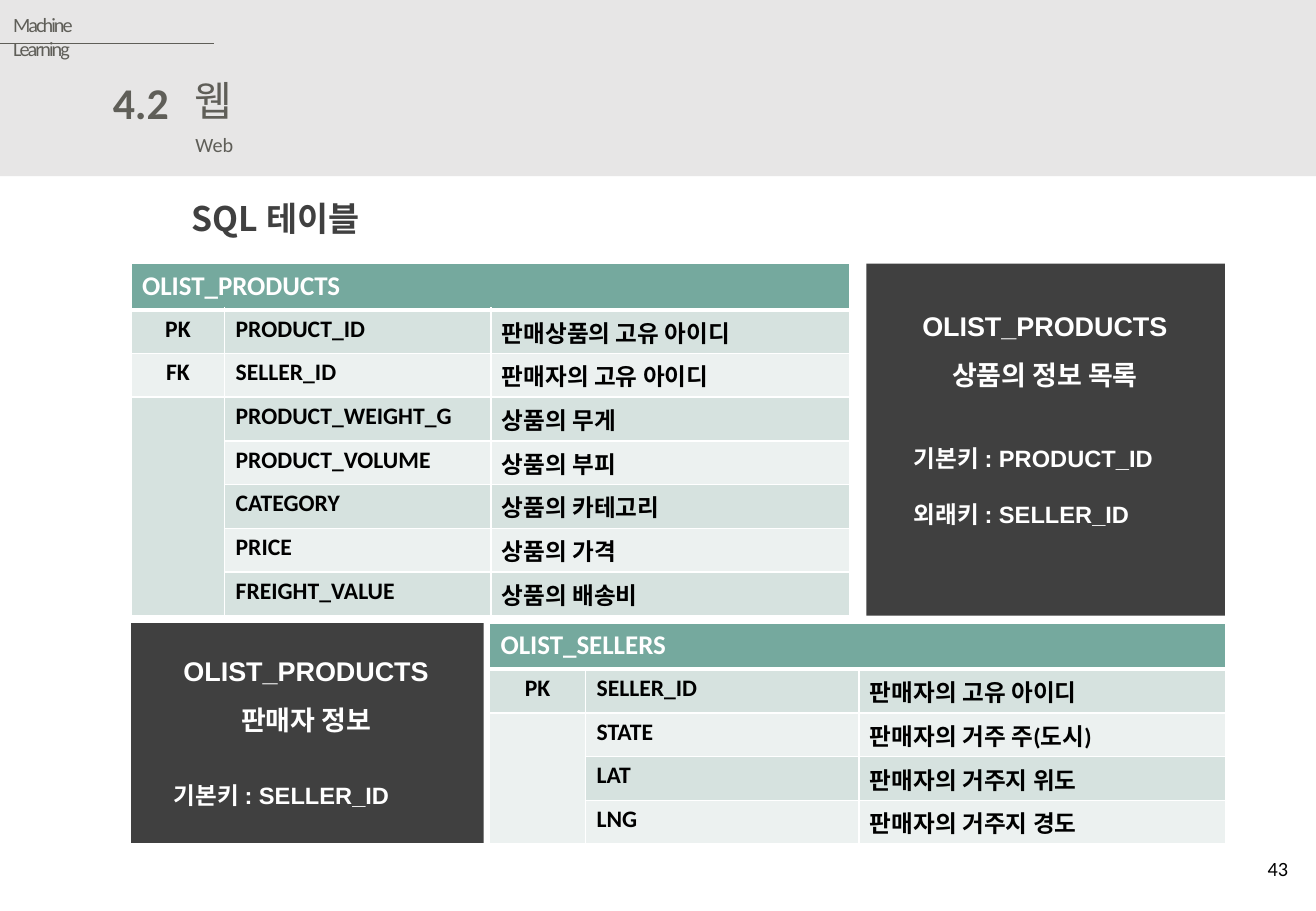
from lxml.etree import SubElement
from pptx import Presentation
from pptx.dml.color import RGBColor
from pptx.enum.shapes import MSO_CONNECTOR as Connector, MSO_SHAPE as Shape
from pptx.enum.text import MSO_ANCHOR as Anchor, MSO_AUTO_SIZE as AutoSize, PP_ALIGN as Align
from pptx.oxml.ns import qn
from pptx.util import Pt

PX = 9144  # 100 px to the inch
KOREAN_FONT = "Noto Sans CJK KR"
COLORS = {
    "band": "E7E6E6", "ink": "5F5E58", "dark": "404040", "white": "FFFFFF", "black": "000000",
    "header": "75A99E", "row_odd": "D6E2DF", "row_even": "ECF1F0",
}

# Run formats
LABEL = {"name": "Calibri", "size": 12, "color": "ink"}
TIGHT = LABEL | {"spacing": -120}
NUMBER = LABEL | {"size": 26, "bold": True}
TITLE = TIGHT | {"name": "Arial", "size": 24.4}
PAGE = LABEL | {"color": "black"}
SUBTITLE = {"name": KOREAN_FONT, "size": 20, "color": "dark", "bold": True}
PANEL_HEAD = {"name": "Arial", "size": 16, "color": "white", "bold": True}
PANEL_KEYS = PANEL_HEAD | {"size": 14}
TABLE_HEAD = PANEL_HEAD | {"name": "Calibri"}
TABLE_BODY = TABLE_HEAD | {"size": 14, "color": "black"}

PRODUCTS = [
    ("PK", "PRODUCT_ID", "판매상품의 고유 아이디"),
    ("FK", "SELLER_ID", "판매자의 고유 아이디"),
    ("", "PRODUCT_WEIGHT_G", "상품의 무게"),
    ("", "PRODUCT_VOLUME", "상품의 부피"),
    ("", "CATEGORY", "상품의 카테고리"),
    ("", "PRICE", "상품의 가격"),
    ("", "FREIGHT_VALUE", "상품의 배송비"),
]
SELLERS = [
    ("PK", "SELLER_ID", "판매자의 고유 아이디"),
    ("", "STATE", "판매자의 거주 주(도시)"),
    ("", "LAT", "판매자의 거주지 위도"),
    ("", "LNG", "판매자의 거주지 경도"),
]


def rgb(color):
    return RGBColor.from_string(COLORS[color])


def emu(*lengths):
    return [length * PX for length in lengths]


def add_run(paragraph, text, style):
    run = paragraph.add_run()
    run.text = text
    values = dict(style)
    run.font.color.rgb = rgb(values.pop("color"))
    run.font.size = Pt(values.pop("size"))
    spacing = values.pop("spacing", None)
    for name, value in values.items():
        setattr(run.font, name, value)
    properties = run.font._element
    if spacing:
        properties.set("spc", str(spacing))
    SubElement(properties, qn("a:ea"), typeface=KOREAN_FONT)


def fill_text(frame, lines, style, align=Align.LEFT, line_spacing=None, **frame_values):
    for name, value in frame_values.items():
        setattr(frame, name, value)
    for index, line in enumerate(lines):
        paragraph = frame.add_paragraph() if index else frame.paragraphs[0]
        paragraph.alignment = align
        paragraph.line_spacing = line_spacing
        add_run(paragraph, line, style)


def add_text(slide, box, lines, style, **values):
    shape = slide.shapes.add_textbox(*emu(*box))
    fill_text(shape.text_frame, lines, style, **values)


def add_rectangle(slide, box, color):
    shape = slide.shapes.add_shape(Shape.RECTANGLE, *emu(*box))
    shape.shadow.inherit = False
    shape.fill.solid()
    shape.fill.fore_color.rgb = rgb(color)
    shape.line.fill.background()


def add_rule(slide, start, end):
    line = slide.shapes.add_connector(Connector.STRAIGHT, *emu(*start, *end))
    line.line.color.rgb = rgb("ink")
    line.line.width = Pt(0.5)
    SubElement(line._element.spPr, qn("a:effectLst"))


def add_title(slide, box, text):
    title = slide.shapes.title
    title.left, title.top, title.width, title.height = emu(*box)
    fill_text(title.text_frame, [text], TITLE, word_wrap=False,
              auto_size=AutoSize.SHAPE_TO_FIT_TEXT, vertical_anchor=Anchor.TOP)
    slide.shapes._spTree.append(title._element)  # in front of the band


def format_cell(cell, text, style, color, align, top=1, bottom=1):
    properties = cell._tc.get_or_add_tcPr()
    for side, width in {"L": 1, "R": 1, "T": top, "B": bottom}.items():
        border = SubElement(properties, qn("a:ln" + side), w=str(Pt(width)))
        fill = SubElement(border, qn("a:solidFill"))
        SubElement(fill, qn("a:srgbClr"), val=COLORS["white"])
    cell.fill.solid()
    cell.fill.fore_color.rgb = rgb(color)
    cell.margin_left, cell.margin_right, cell.margin_top, cell.margin_bottom = emu(9, 9, 4, 4)
    fill_text(cell.text_frame, [text], style, align)


def add_schema(slide, left, top, widths, name, fields):
    heights = [38] + [36] * len(fields)
    frame = slide.shapes.add_table(len(heights), len(widths),
                                   *emu(left, top, sum(widths), sum(heights)))
    table = frame.table
    table.first_row = table.horz_banding = False
    for column, width in zip(table.columns, widths):
        column.width = width * PX
    for row, height in zip(table.rows, heights):
        row.height = height * PX
    # Header row
    for column, text in enumerate((name, "", "")):
        format_cell(table.cell(0, column), text, TABLE_HEAD, "header", Align.LEFT, bottom=3)
    table.cell(0, 0).margin_top = 5 * PX
    table.cell(0, 0).merge(table.cell(0, 2))
    # Field rows
    for row, texts in enumerate(fields, 1):
        color = "row_odd" if row % 2 else "row_even"
        for column, text in enumerate(texts):
            align = Align.LEFT if column else Align.CENTER
            format_cell(table.cell(row, column), text, TABLE_BODY, color, align,
                        top=3 if row == 1 else 1)
    # Fields without a key share one cell
    first_plain = 1 + sum(bool(key) for key, *_ in fields)
    table.cell(first_plain, 0).merge(table.cell(len(fields), 0))


def add_panel(slide, box, head_box, head, keys_box, keys):
    add_rectangle(slide, box, "dark")
    common = {"word_wrap": True, "vertical_anchor": Anchor.MIDDLE}
    add_text(slide, keys_box, keys, PANEL_KEYS, align=Align.JUSTIFY, line_spacing=2.0,
             margin_left=39 * PX, **common)
    add_text(slide, head_box, head, PANEL_HEAD, align=Align.CENTER, line_spacing=1.5, **common)


def main():
    presentation = Presentation()
    presentation.slide_width, presentation.slide_height = emu(1083, 750)
    slide = presentation.slides.add_slide(presentation.slide_layouts[5])

    # Header band
    grow = {"word_wrap": False, "auto_size": AutoSize.SHAPE_TO_FIT_TEXT}
    add_rectangle(slide, (0, -1, 1083, 146), "band")
    add_rule(slide, (-1, 36), (176, 36))
    add_text(slide, (1, 5, 115, 30), ["Machine Learning"], TIGHT, **grow)
    add_text(slide, (82, 57, 67, 54), ["4.2"], NUMBER, align=Align.RIGHT, **grow)
    add_title(slide, (150, 57, 53, 51), "웹")
    add_text(slide, (151, 104, 52, 30), ["Web"], LABEL, **grow)

    # Subtitle and page number
    middle = {"word_wrap": True, "vertical_anchor": Anchor.MIDDLE}
    add_text(slide, (148, 155, 380, 49), ["SQL 테이블"], SUBTITLE, **middle)
    add_text(slide, (826, 695, 244, 40), ["43"], PAGE, align=Align.RIGHT, **middle)

    # Tables
    add_schema(slide, 108, 217, (77, 219, 295), "OLIST_PRODUCTS", PRODUCTS)
    add_schema(slide, 403, 513, (79, 225, 302), "OLIST_SELLERS", SELLERS)

    # Dark panels
    add_panel(slide, (713, 217, 295, 290),
              (670, 257, 380, 49), ["OLIST_PRODUCTS", "상품의 정보 목록"],
              (713, 364, 296, 49), ["기본키 : PRODUCT_ID", "외래키 : SELLER_ID"])
    add_panel(slide, (108, 513, 290, 181),
              (62, 541, 380, 49), ["OLIST_PRODUCTS", "판매자 정보"],
              (104, 618, 296, 49), ["기본키 : SELLER_ID"])

    presentation.save("out.pptx")


if __name__ == "__main__":
    main()
